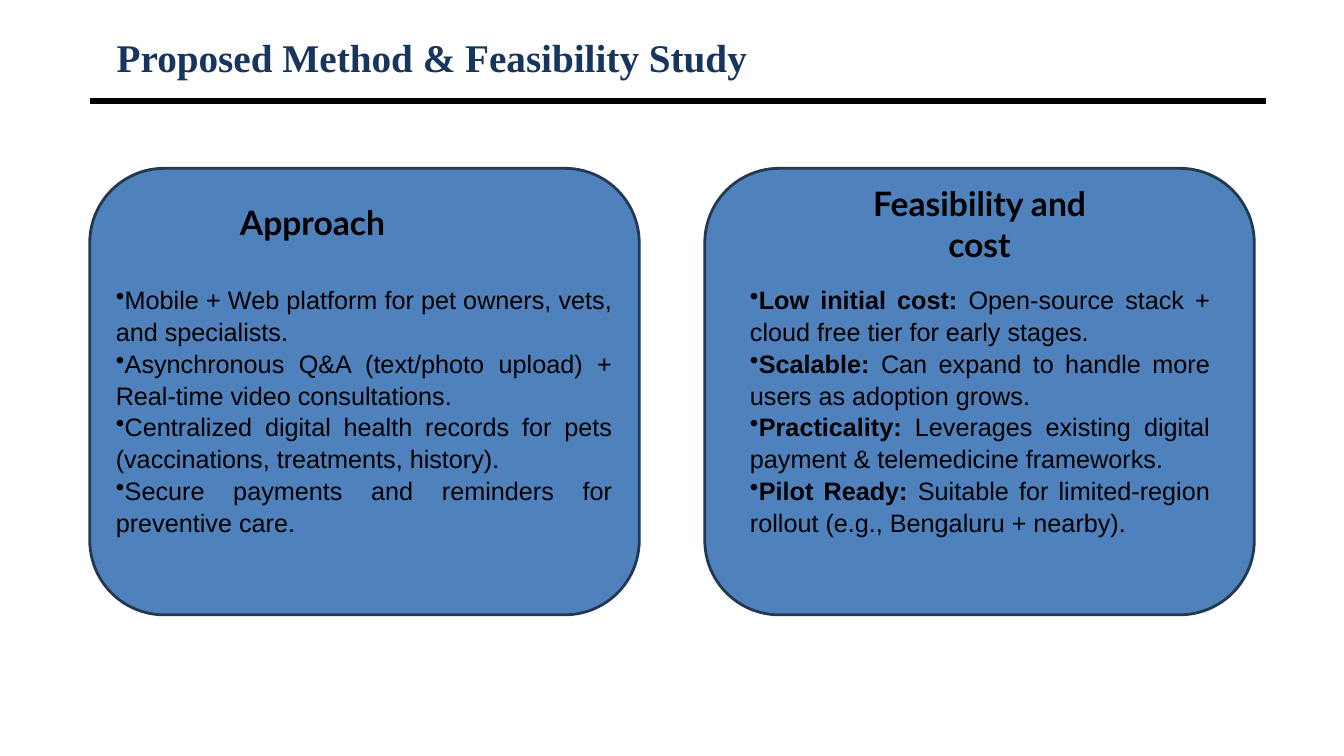
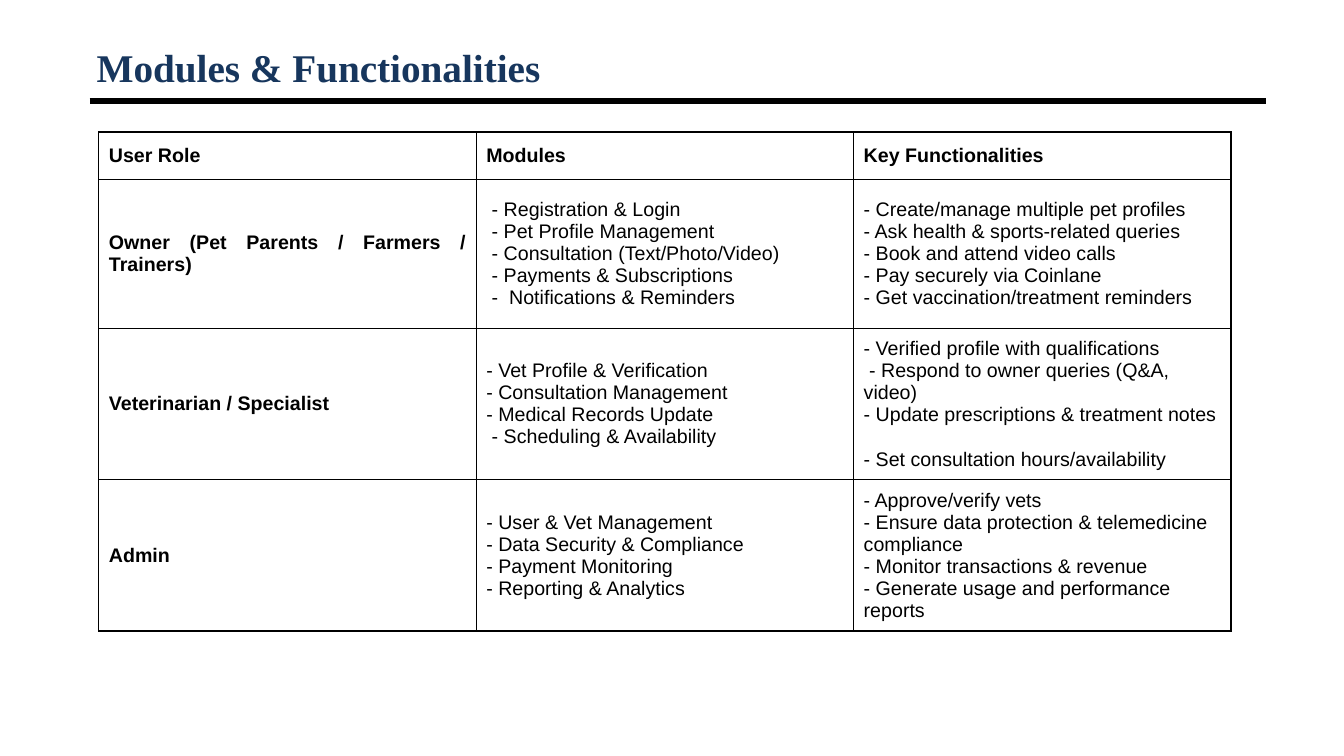
from lxml.etree import SubElement
from pptx import Presentation
from pptx.dml.color import RGBColor
from pptx.enum.shapes import MSO_CONNECTOR as Connector, MSO_SHAPE as Shape
from pptx.enum.text import MSO_ANCHOR as Anchor, PP_ALIGN as Align
from pptx.oxml.ns import qn
from pptx.util import Inches, Pt

COLORS = {name: RGBColor.from_string(value) for name, value in {
    "title": "17365D", "text": "000000", "rule": "000000",
    "card": "4F81BD", "card_line": "233953", "cell": "FFFFFF"}.items()}
FORMATS = {
    "title": {"name": "Times New Roman", "size": Pt(28), "bold": True},
    "heading": {"name": "Lato", "size": Pt(24), "bold": True},
    "body": {"name": "Arial", "size": Pt(18), "bold": False},
    "label": {"name": "Arial", "size": Pt(18), "bold": True},
    "cell": {"name": "Arial", "size": Pt(14), "bold": False},
    "cell_label": {"name": "Arial", "size": Pt(14), "bold": True},
}


def add_run(paragraph, text, style):
    run = paragraph.add_run()
    run.text = text
    for attribute, value in FORMATS[style].items():
        setattr(run.font, attribute, value)
    run.font.color.rgb = COLORS["title" if style == "title" else "text"]


def add_box(slide, left, top, width, height, anchor=Anchor.MIDDLE):
    frame = slide.shapes.add_textbox(
        Inches(left), Inches(top), Inches(width), Inches(height)).text_frame
    frame.word_wrap = True
    frame.vertical_anchor = anchor
    return frame


prs = Presentation()
prs.slide_width, prs.slide_height = Inches(13.33), Inches(7.5)

# Title and rule on both slides
slides = []
for title, left, top in [("Proposed Method & Feasibility Study", 1.06, 0.3),
                         ("Modules & Functionalities", 0.86, 0.4)]:
    slide = prs.slides.add_slide(prs.slide_layouts[6])
    rule = slide.shapes.add_connector(
        Connector.STRAIGHT, Inches(0.89), Inches(1), Inches(12.56), Inches(1))
    rule.line.color.rgb = COLORS["rule"]
    rule.line.width = Pt(4.5)
    SubElement(rule._element.spPr, qn("a:effectLst"))
    add_run(add_box(slide, left, top, 11.4, 0.53).paragraphs[0], title, "title")
    slides.append(slide)
method_slide, modules_slide = slides

# Cards: card left, heading, heading box, body box, (label, text) points
cards = [
    (0.89, "Approach", (2.28, 1.95, 1.64, 0.5), (1.05, 2.81, 5.12, 2.52), [
        ("", "Mobile + Web platform for pet owners, vets, and specialists."),
        ("", "Asynchronous Q&A (text/photo upload) + Real-time video consultations."),
        ("", "Centralized digital health records for pets (vaccinations, treatments, history)."),
        ("", "Secure payments and reminders for preventive care.")]),
    (6.99, "Feasibility and cost", (8.32, 1.77, 2.79, 0.91), (7.34, 2.81, 4.76, 2.52), [
        ("Low initial cost:", " Open-source stack + cloud free tier for early stages."),
        ("Scalable:", " Can expand to handle more users as adoption grows."),
        ("Practicality:", " Leverages existing digital payment & telemedicine frameworks."),
        ("Pilot Ready:", " Suitable for limited-region rollout (e.g., Bengaluru + nearby).")]),
]
for left, heading, heading_box, body_box, points in cards:
    card = method_slide.shapes.add_shape(
        Shape.ROUNDED_RECTANGLE, Inches(left), Inches(1.67), Inches(5.45), Inches(4.43))
    card.shadow.inherit = False
    card.fill.solid()
    card.fill.fore_color.rgb = COLORS["card"]
    card.line.color.rgb = COLORS["card_line"]
    card.line.width = Pt(2)

    heading_line = add_box(method_slide, *heading_box, Anchor.TOP).paragraphs[0]
    heading_line.alignment = Align.CENTER
    add_run(heading_line, heading, "heading")

    body = add_box(method_slide, *body_box)
    for index, (label, text) in enumerate(points):
        point = body.add_paragraph() if index else body.paragraphs[0]
        point.alignment = Align.JUSTIFY
        point.line_spacing = 1.05
        SubElement(point._p.get_or_add_pPr(), qn("a:buChar"), char="•")
        if label:
            add_run(point, label, "label")
        add_run(point, text, "body")

# Table of roles, one list of lines per cell
roles = [
    [["User Role"], ["Modules"], ["Key Functionalities"]],
    [["Owner (Pet Parents / Farmers / Trainers)"],
     [" - Registration & Login", " - Pet Profile Management",
      " - Consultation (Text/Photo/Video)", " - Payments & Subscriptions",
      " -  Notifications & Reminders"],
     ["- Create/manage multiple pet profiles", "- Ask health & sports-related queries",
      "- Book and attend video calls", "- Pay securely via Coinlane",
      "- Get vaccination/treatment reminders"]],
    [["Veterinarian / Specialist"],
     ["- Vet Profile & Verification", "- Consultation Management",
      "- Medical Records Update", " - Scheduling & Availability"],
     ["- Verified profile with qualifications", " - Respond to owner queries (Q&A, video)",
      "- Update prescriptions & treatment notes", "- Set consultation hours/availability"]],
    [["Admin"],
     ["- User & Vet Management", "- Data Security & Compliance",
      "- Payment Monitoring", "- Reporting & Analytics"],
     ["- Approve/verify vets", "- Ensure data protection & telemedicine compliance",
      "- Monitor transactions & revenue", "- Generate usage and performance reports"]],
]
role_table = modules_slide.shapes.add_table(
    4, 3, Inches(0.98), Inches(1.31), Inches(11.23), Inches(4.92)).table
for column in role_table.columns:
    column.width = Inches(11.23 / 3)
for row, height in zip(role_table.rows, [0.47, 1.48, 1.5, 1.5]):
    row.height = Inches(height)

for row_index, row in enumerate(roles):
    for column_index, lines in enumerate(row):
        cell = role_table.cell(row_index, column_index)
        cell.vertical_anchor = Anchor.MIDDLE
        is_label = row_index == 0 or column_index == 0
        for index, text in enumerate(lines):
            line = cell.text_frame.add_paragraph() if index else cell.text_frame.paragraphs[0]
            line.alignment = Align.JUSTIFY if is_label else Align.LEFT
            add_run(line, text, "cell_label" if is_label else "cell")
            if text == "- Set consultation hours/availability":
                line.space_before = Pt(16)

        # Borders come before the fill in the cell properties
        properties = cell._tc.get_or_add_tcPr()
        for side in ("a:lnL", "a:lnR", "a:lnT", "a:lnB"):
            border = SubElement(properties, qn(side), w=str(Pt(1)))
            paint = SubElement(border, qn("a:solidFill"))
            SubElement(paint, qn("a:srgbClr"), val=str(COLORS["rule"]))
        cell.fill.solid()
        cell.fill.fore_color.rgb = COLORS["cell"]

prs.save("out.pptx")
